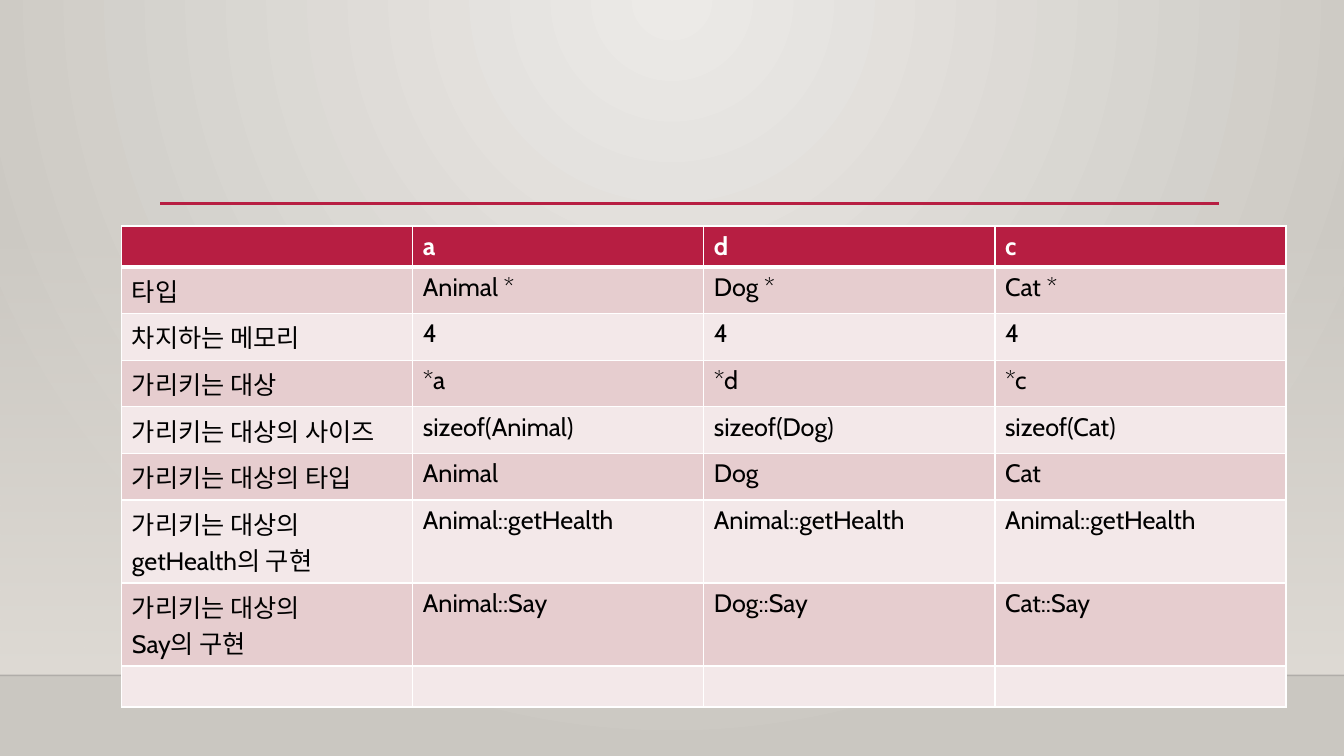
from dataclasses import dataclass

import lxml.etree
import pptx
import pptx.dml.color
import pptx.enum.shapes
import pptx.oxml.ns
import pptx.util

Pt = pptx.util.Pt
qn = pptx.oxml.ns.qn


@dataclass(frozen=True)
class Theme:
    font: str = "Cabin"
    size: int = 18
    accent: str = "B71E42"
    band_dark: str = "E6CDCF"
    band_light: str = "F3E8E9"
    text: str = "000000"
    white: str = "FFFFFF"
    glow: str = "ECEAE7"
    floor: str = "CAC7C1"
    wall: str = "DFDBD5"
    floor_line: str = "000001"


THEME = Theme()
WIDTH, HEIGHT, FLOOR_TOP = 960, 540, 482.4
COL_WIDTH = 207.9
ROW_HEIGHTS = [29.2] + [33.3] * 5 + [59.3] * 2 + [29.2]
ROWS = [
    ["", "a", "d", "c"],
    ["타입", "Animal *", "Dog *", "Cat *"],
    ["차지하는 메모리", "4", "4", "4"],
    ["가리키는 대상", "*a", "*d", "*c"],
    ["가리키는 대상의 사이즈", "sizeof(Animal)", "sizeof(Dog)", "sizeof(Cat)"],
    ["가리키는 대상의 타입", "Animal", "Dog", "Cat"],
    ["가리키는 대상의 getHealth의 구현"] + ["Animal::getHealth"] * 3,
    ["가리키는 대상의\nSay의 구현", "Animal::Say", "Dog::Say", "Cat::Say"],
    [""] * 4,
]


def rgb(color):
    return pptx.dml.color.RGBColor.from_string(color)


def sub(parent, tag, **attrs):
    return lxml.etree.SubElement(parent, qn(tag), attrs)


def set_alpha(element, percent):
    """Set the opacity of the first colour inside element."""
    sub(element.find(".//" + qn("a:srgbClr")), "a:alpha", val=str(percent * 1000))


def fill_gradient(fill, start, end):
    fill.gradient()
    for stop, color, position in zip(fill.gradient_stops, (start, end), (0, 1)):
        stop.color.rgb = rgb(color)
        stop.position = position


def add_background(s):
    """Fill the slide with a round glow centred on its top edge."""
    fill_gradient(s.background.fill, THEME.glow, THEME.floor)
    grad = s._element.find(".//" + qn("a:gradFill"))
    lin = grad.find(qn("a:lin"))
    glow = lxml.etree.Element(qn("a:path"), {"path": "circle"})
    sub(glow, "a:fillToRect", l="43000", t="0", r="43000", b="100000")
    grad.replace(lin, glow)


def add_wall(s, top):
    """Add a panel that fades in from clear down to the floor."""
    sp = s.shapes.add_shape(pptx.enum.shapes.MSO_SHAPE.RECTANGLE,
                            Pt(0), Pt(top), Pt(WIDTH), Pt(FLOOR_TOP - top))
    sp.shadow.inherit = False
    sp.line.fill.background()
    fill_gradient(sp.fill, THEME.wall, THEME.wall)
    sp.fill.gradient_angle = 270
    set_alpha(sp._element.find(".//" + qn("a:gs")), 0)


def add_rule(s, left, right, y, color, width, opacity=100):
    cx = s.shapes.add_connector(pptx.enum.shapes.MSO_CONNECTOR.STRAIGHT,
                                Pt(left), Pt(y), Pt(right), Pt(y))
    cx.line.color.rgb = rgb(color)
    cx.line.width = Pt(width)
    if opacity < 100:
        set_alpha(cx._element.spPr, opacity)
    sub(cx._element.spPr, "a:effectLst")


def write_text(tf, text, color=THEME.text, bold=False):
    for i, line in enumerate(text.split("\n")):
        p = tf.paragraphs[0] if i == 0 else tf.add_paragraph()
        p.font.size = Pt(THEME.size)
        if not line:
            continue
        r = p.add_run()
        r.text = line
        r.font.name = THEME.font
        r.font.size = Pt(THEME.size)
        r.font.bold = bold
        r.font.color.rgb = rgb(color)


def set_borders(cell, top=1, bottom=1):
    """Draw white borders; top and bottom are widths in points."""
    tc_pr = cell._tc.get_or_add_tcPr()
    widths = {"a:lnL": 1, "a:lnR": 1, "a:lnT": top, "a:lnB": bottom}
    for tag, width in widths.items():
        ln = sub(tc_pr, tag, w=str(Pt(width)))
        sub(sub(ln, "a:solidFill"), "a:srgbClr", val=THEME.white)


def add_pointer_table(s, left, top):
    frame = s.shapes.add_table(len(ROWS), len(ROWS[0]), Pt(left), Pt(top),
                               Pt(COL_WIDTH * len(ROWS[0])), Pt(sum(ROW_HEIGHTS)))
    table = frame.table
    for col in table.columns:
        col.width = Pt(COL_WIDTH)
    for i, (height, texts) in enumerate(zip(ROW_HEIGHTS, ROWS)):
        table.rows[i].height = Pt(height)
        header = i == 0
        band = THEME.band_dark if i % 2 else THEME.band_light
        for cell, text in zip(table.rows[i].cells, texts):
            set_borders(cell, top=3 if i == 1 else 1, bottom=3 if header else 1)
            cell.fill.solid()
            cell.fill.fore_color.rgb = rgb(THEME.accent if header else band)
            write_text(cell.text_frame, text, bold=header,
                       color=THEME.white if header else THEME.text)


def main():
    prs = pptx.Presentation()
    prs.slide_width, prs.slide_height = Pt(WIDTH), Pt(HEIGHT)
    s = prs.slides.add_slide(prs.slide_layouts[6])
    add_background(s)
    add_wall(s, top=159)
    add_rule(s, 0, WIDTH, FLOOR_TOP, THEME.floor_line, 1, opacity=20)
    add_rule(s, 114.5, 871, 145.3, THEME.accent, 2.5)
    add_pointer_table(s, left=87, top=161.5)
    prs.save("out.pptx")


if __name__ == "__main__":
    main()
